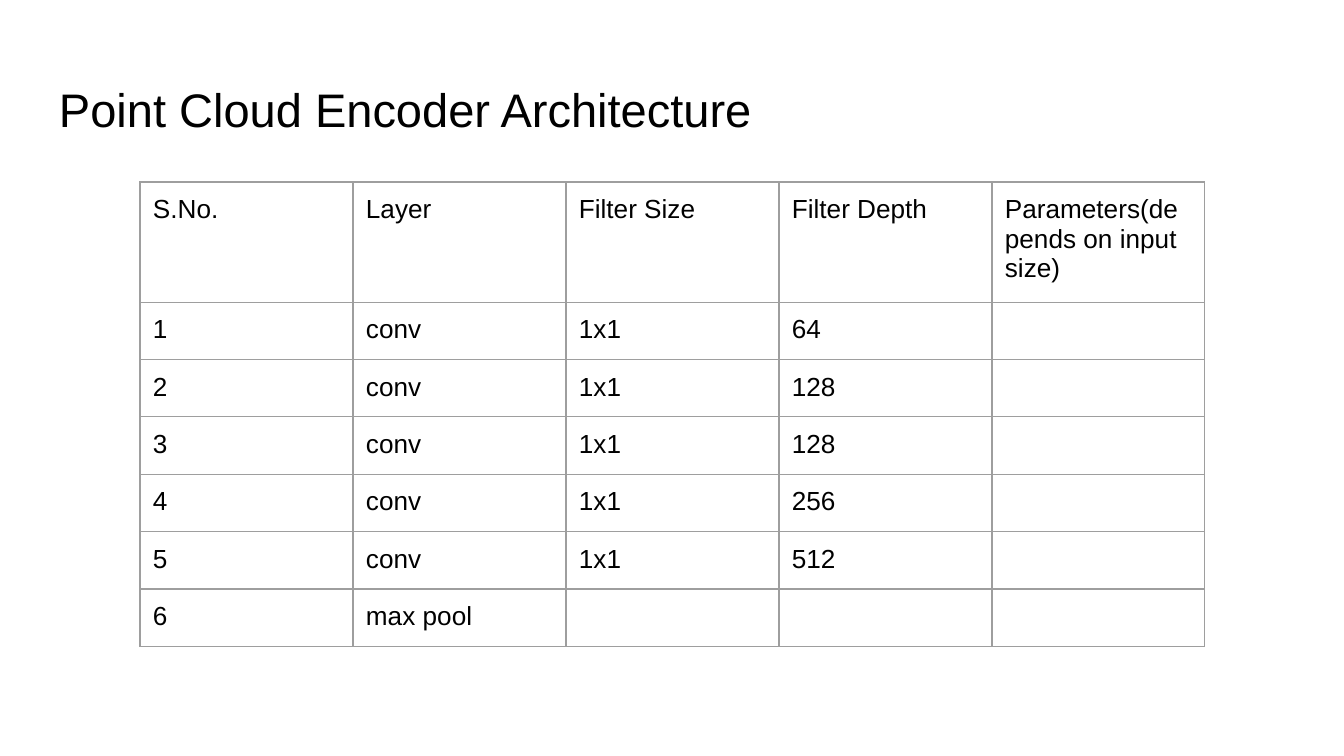
from dataclasses import dataclass

from lxml import etree
from pptx import Presentation
from pptx.dml.color import RGBColor
from pptx.enum.text import MSO_ANCHOR
from pptx.oxml.ns import qn
from pptx.util import Emu, Pt

TOP = MSO_ANCHOR.TOP
BASE = MSO_ANCHOR.BOTTOM
SCALE = 914400 / 134.4
SIDES = ("a:lnL", "a:lnR", "a:lnT", "a:lnB")


@dataclass(frozen=True)
class Theme:
    font: str = "Arial"
    ink: str = "000000"
    rule: str = "9E9E9E"
    paper: str = "FFFFFF"
    title: float = 25.2
    body: float = 14
    line: float = 0.75
    pad: int = 13


@dataclass(frozen=True)
class Layer:
    number: str
    kind: str
    size: str = ""
    depth: str = ""
    params: str = ""

    def texts(self) -> tuple[str, ...]:
        return self.number, self.kind, self.size, self.depth, self.params


THEME = Theme()
HEAD = Layer("S.No.", "Layer", "Filter Size", "Filter Depth",
             "Parameters(depends on input size)")
DEPTHS = ("64", "128", "128", "256", "512")
LAYERS = [
    HEAD,
    *(Layer(str(n), "conv", "1x1", depth) for n, depth in enumerate(DEPTHS, 1)),
    Layer("6", "max pool"),
]


def px(value: int) -> Emu:
    return Emu(round(value * SCALE))


def write(box, text: str, *, size: float, anchor=TOP) -> None:
    box.margin_left = box.margin_right = px(THEME.pad)
    box.margin_top = box.margin_bottom = px(THEME.pad)
    box.vertical_anchor = anchor
    frame = box.text_frame if hasattr(box, "text_frame") else box
    frame.word_wrap = True
    para = frame.paragraphs[0]
    if not text:
        etree.SubElement(para._p, qn("a:endParaRPr"), sz=str(round(size * 100)))
        return
    run = para.add_run()
    run.text = text
    run.font.name = THEME.font
    run.font.size = Pt(size)
    run.font.color.rgb = RGBColor.from_string(THEME.ink)


def border(cell) -> None:
    props = cell._tc.get_or_add_tcPr()
    for side in SIDES:
        line = etree.SubElement(props, qn(side), w=str(Pt(THEME.line)))
        fill = etree.SubElement(line, qn("a:solidFill"))
        etree.SubElement(fill, qn("a:srgbClr"), val=THEME.rule)


def grid(slide, rows: list[Layer], *, left: int, top: int,
         width: int, height: int) -> None:
    count = len(rows[0].texts())
    table = slide.shapes.add_table(
        len(rows), count, px(left), px(top),
        px(width * count), px(height * len(rows))).table
    table.first_row = table.horz_banding = False
    for col in table.columns:
        col.width = px(width)
    for row, layer in zip(table.rows, rows):
        row.height = px(height)
        for cell, text in zip(row.cells, layer.texts()):
            write(cell, text, size=THEME.body)
            border(cell)
            cell.fill.background()


def main() -> None:
    deck = Presentation()
    deck.slide_width, deck.slide_height = px(1344), px(756)
    slide = deck.slides.add_slide(deck.slide_layouts[6])
    back = slide.background.fill
    back.solid()
    back.fore_color.rgb = RGBColor.from_string(THEME.paper)
    title = slide.shapes.add_textbox(px(46), px(66), px(1252), px(84))
    write(title.text_frame, "Point Cloud Encoder Architecture",
          size=THEME.title, anchor=BASE)
    grid(slide, LAYERS, left=140, top=182, width=213, height=56)
    deck.save("out.pptx")


if __name__ == "__main__":
    main()
